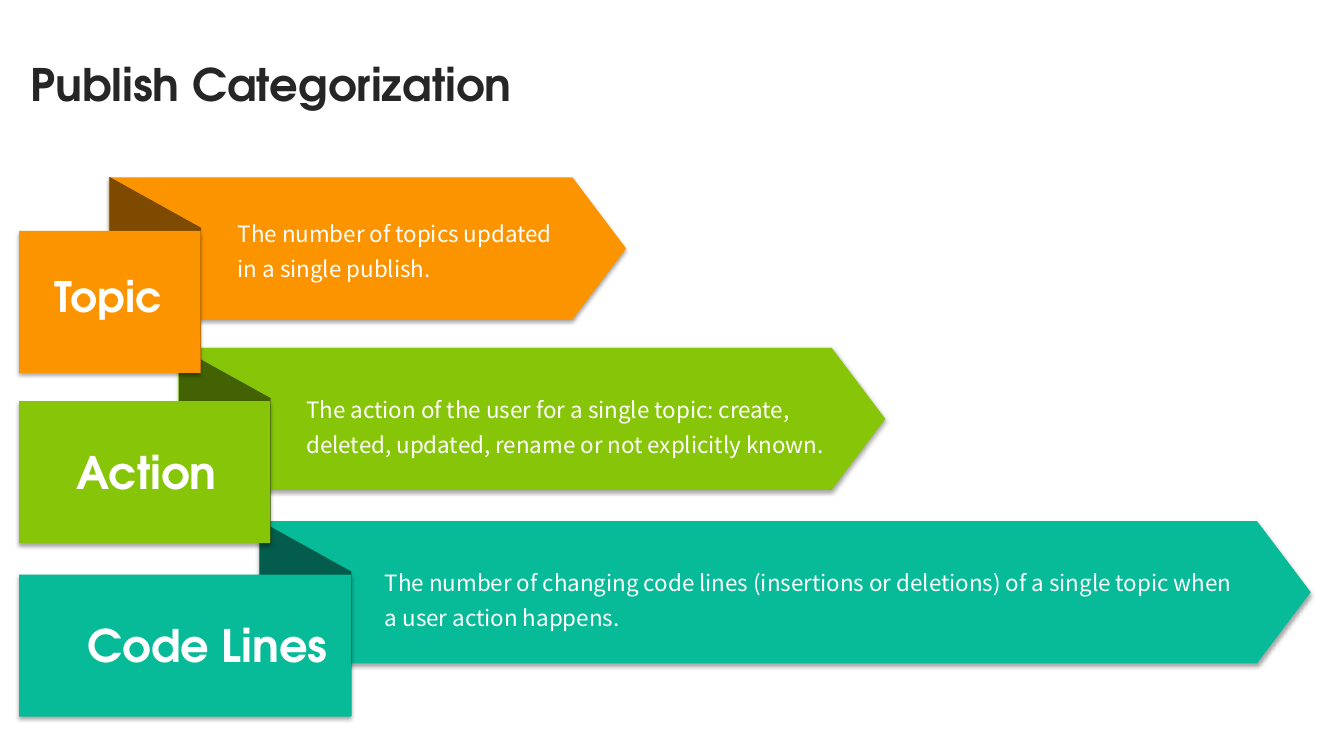
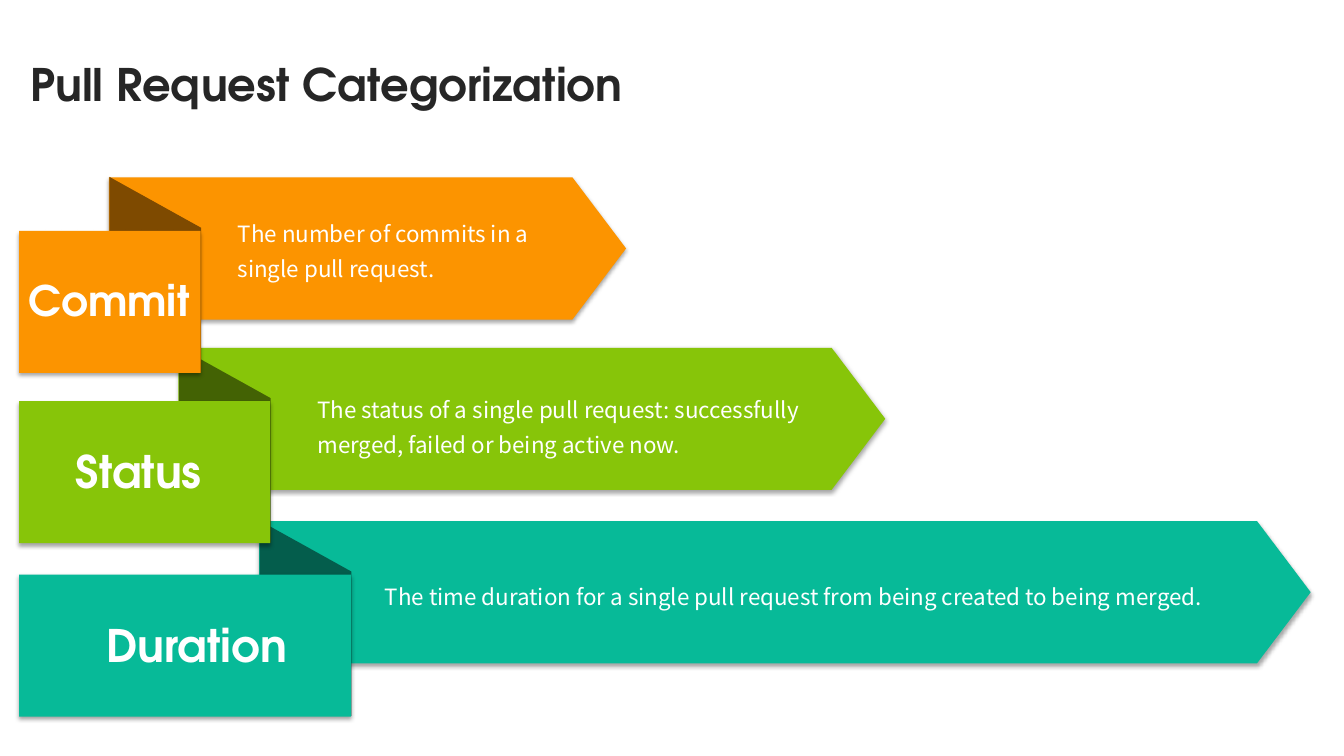
from dataclasses import dataclass

from lxml.etree import SubElement
from pptx import Presentation
from pptx.dml.color import RGBColor
from pptx.enum.shapes import MSO_SHAPE as Kind
from pptx.enum.text import MSO_AUTO_SIZE as Fit, PP_ALIGN as Align
from pptx.oxml.ns import qn
from pptx.shapes.autoshape import Shape
from pptx.slide import Slide
from pptx.util import Emu, Pt

SCALE = 9144
HEAD = "TeX Gyre Adventor"
BODY = "Noto Sans CJK SC"
INK = "262626"
WHITE = "FFFFFF"
EDGE = 19
BAND = 141
DROP = 53
FOLD = 91
RISE = 194


@dataclass
class Box:
    left: int
    top: int
    width: int
    height: int


@dataclass
class Style:
    font: str
    size: int
    color: str
    bold: bool = True
    wrap: bool = True
    align: Align = Align.LEFT
    space: float = 1.0


@dataclass
class Ribbon:
    top: int
    tag: int
    arrow: int
    fill: str
    shade: str
    size: int


@dataclass
class Item:
    name: str
    spot: Box
    note: str
    area: Box


@dataclass
class Page:
    title: str
    width: int
    items: list[Item]


RIBBONS = [
    Ribbon(176, 180, 513, "FC9400", "7E4A00", 30),
    Ribbon(345, 249, 701, "87C509", "436204", 32),
    Ribbon(517, 329, 1043, "07BA98", "045D4C", 32),
]

PAGES = [
    Page("Publish Categorization", 600, [
        Item("Topic", Box(41, 263, 130, 61),
             "The number of topics updated in a single publish.",
             Box(226, 206, 348, 80)),
        Item("Action", Box(63, 436, 162, 64),
             "The action of the user for a single topic: create, deleted, "
             "updated, rename or not explicitly known.",
             Box(294, 380, 573, 80)),
        Item("Code Lines", Box(74, 608, 261, 64),
             "The number of changing code lines (insertions or deletions) "
             "of a single topic when a user action happens.",
             Box(372, 552, 876, 80)),
    ]),
    Page("Pull Request Categorization", 734, [
        Item("Commit", Box(16, 267, 182, 61),
             "The number of commits in a single pull request.",
             Box(226, 206, 337, 80)),
        Item("Status", Box(63, 435, 147, 64),
             "The status of a single pull request: successfully merged, "
             "failed or being active now.",
             Box(305, 380, 538, 80)),
        Item("Duration", Box(92, 608, 203, 64),
             "The time duration for a single pull request from being "
             "created to being merged.",
             Box(372, 566, 876, 45)),
    ]),
]


def px(count: int) -> Emu:
    return Emu(count * SCALE)


def place(box: Box) -> tuple[Emu, Emu, Emu, Emu]:
    return px(box.left), px(box.top), px(box.width), px(box.height)


def paint(code: str) -> RGBColor:
    return RGBColor.from_string(code)


def add_form(slide: Slide, kind: Kind, box: Box, fill: str) -> Shape:
    form = slide.shapes.add_shape(kind, *place(box))
    form.fill.solid()
    form.fill.fore_color.rgb = paint(fill)
    form.line.fill.background()
    form.shadow.inherit = False
    return form


def add_glow(form: Shape) -> None:
    effect = form.element.spPr.find(qn("a:effectLst"))
    shadow = SubElement(effect, qn("a:outerShdw"), blurRad=str(Pt(3.1)),
                        dist=str(Pt(1.8)), dir="5400000", rotWithShape="0")
    color = SubElement(shadow, qn("a:srgbClr"), val="000000")
    SubElement(color, qn("a:alpha"), val="35000")


def add_text(slide: Slide, text: str, box: Box, style: Style) -> None:
    frame = slide.shapes.add_textbox(*place(box)).text_frame
    frame.word_wrap = style.wrap
    frame.auto_size = Fit.SHAPE_TO_FIT_TEXT
    frame.text = text
    para = frame.paragraphs[0]
    para.alignment = style.align
    para.line_spacing = style.space
    font = para.runs[0].font
    font.name = style.font
    font.size = Pt(style.size)
    font.bold = style.bold
    font.color.rgb = paint(style.color)


def add_ribbon(slide: Slide, band: Ribbon) -> None:
    left = EDGE + band.tag - FOLD
    arrow = add_form(slide, Kind.PENTAGON,
                     Box(left, band.top, band.arrow, BAND), band.fill)
    arrow.adjustments[0] = 0.377
    add_glow(arrow)
    shift = (RISE - FOLD) // 2
    fold = add_form(slide, Kind.PARALLELOGRAM,
                    Box(left - shift, band.top + shift, RISE, FOLD),
                    band.shade)
    fold.adjustments[0] = 0.555
    fold.rotation = 270
    tag = add_form(slide, Kind.RECTANGLE,
                   Box(EDGE, band.top + DROP, band.tag, BAND), band.fill)
    add_glow(tag)


def add_page(slide: Slide, page: Page) -> None:
    add_text(slide, page.title, Box(20, 51, page.width, 64),
             Style(HEAD, 32, INK))
    for band in reversed(RIBBONS):
        add_ribbon(slide, band)
    note = Style(BODY, 16, WHITE, bold=False, space=1.3)
    for band, item in zip(RIBBONS, page.items):
        label = Style(HEAD, band.size, WHITE, wrap=False, align=Align.RIGHT)
        add_text(slide, item.name, item.spot, label)
        add_text(slide, item.note, item.area, note)


def main() -> None:
    deck = Presentation()
    deck.slide_width = px(1333)
    deck.slide_height = px(750)
    blank = deck.slide_layouts[6]
    for page in PAGES:
        add_page(deck.slides.add_slide(blank), page)
    deck.save("out.pptx")


if __name__ == "__main__":
    main()
